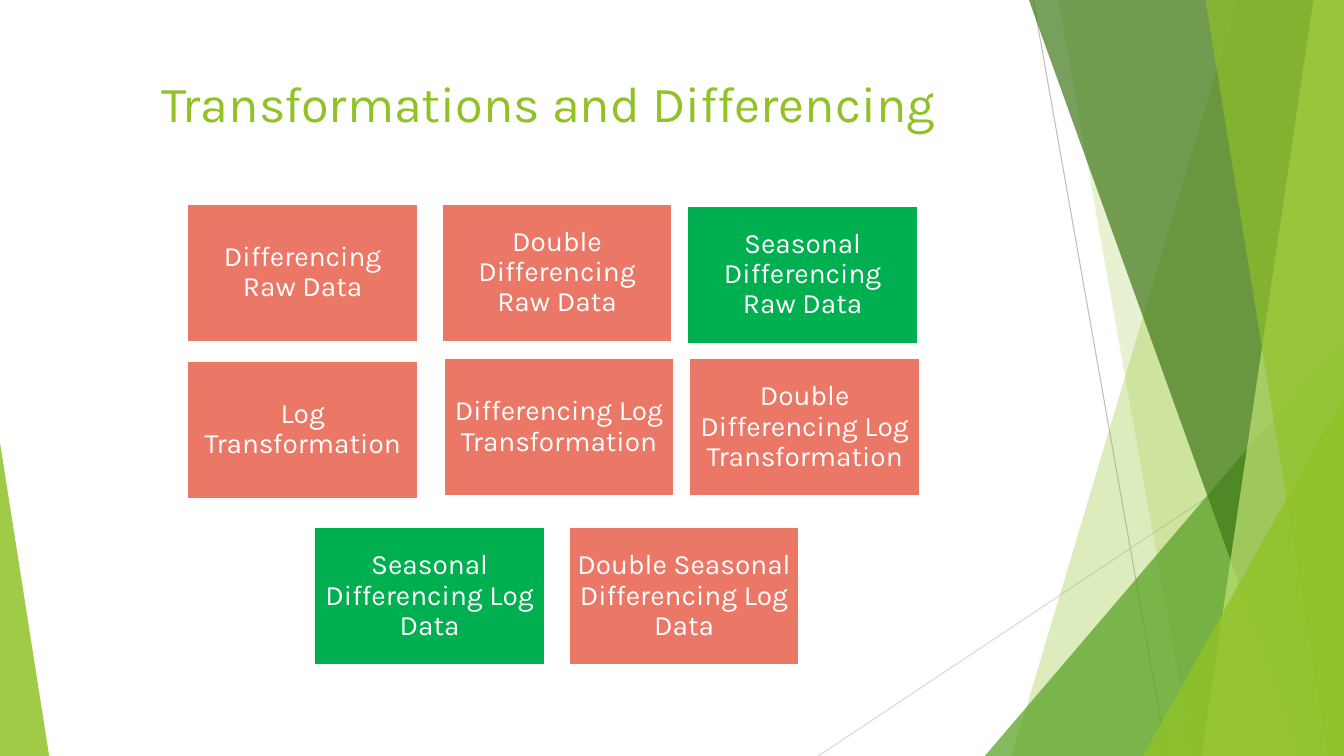
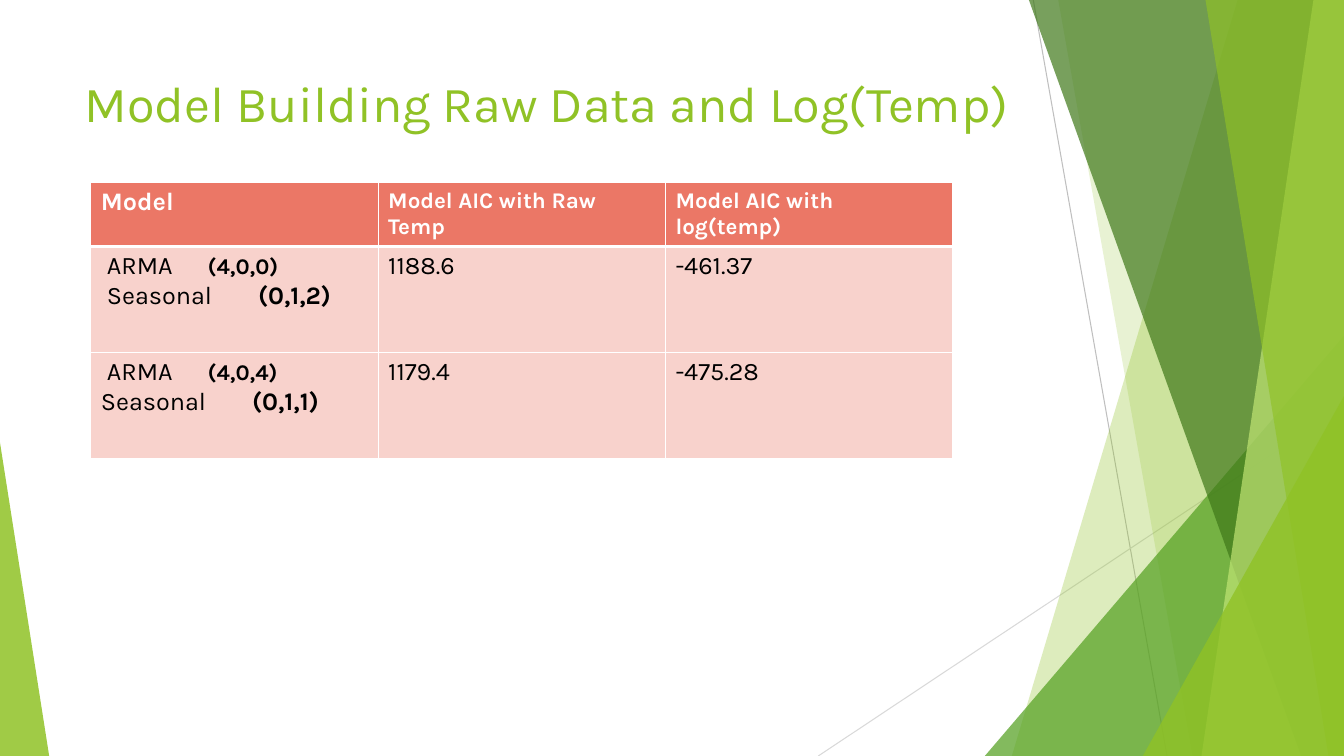
import dataclasses

import pptx
import pptx.dml.color
import pptx.enum.shapes
import pptx.enum.text
import pptx.oxml
import pptx.oxml.ns
import pptx.util

Cm = pptx.util.Cm
Pt = pptx.util.Pt
qn = pptx.oxml.ns.qn
Kind = pptx.enum.shapes.MSO_SHAPE
Align = pptx.enum.text.PP_ALIGN
Anchor = pptx.enum.text.MSO_ANCHOR


@dataclasses.dataclass(frozen=True)
class Theme:
    """Colours, type and page size, in points and centimetres."""
    font: str = "Karla"
    lime: str = "90C226"
    leaf: str = "54A021"
    moss: str = "3F7819"
    pale: str = "C0E474"
    coral: str = "EB7766"
    blush: str = "F8D2CC"
    green: str = "00B050"
    white: str = "FFFFFF"
    black: str = "000000"
    grey: str = "BFBFBF"
    silver: str = "D9D9D9"
    title: int = 36
    card: int = 20
    body: int = 18
    small: int = 16
    width: float = 33.87
    height: float = 19.05


T = Theme()

CARDS = [
    ("Differencing Raw Data", 4.72, 5.13, T.coral),
    ("Double Differencing Raw Data", 11.13, 5.13, T.coral),
    ("Log Transformation", 4.72, 9.09, T.coral),
    ("Differencing Log Transformation", 11.18, 9.02, T.coral),
    ("Double Differencing Log Transformation", 17.37, 9.02, T.coral),
    ("Seasonal Differencing Raw Data", 17.32, 5.18, T.green),
    ("Seasonal Differencing Log Data", 7.92, 13.28, T.green),
    ("Double Seasonal Differencing Log Data", 14.33, 13.28, T.coral),
]

HEADS = [("Model", T.body), ("Model AIC with Raw Temp", T.small),
         ("Model AIC with log(temp)", T.small)]

# ARMA order, seasonal order, indent of the seasonal line, raw AIC, log AIC
MODELS = [("(4,0,0)", "(0,1,2)", 0.15, "1188.6", "-461.37"),
          ("(4,0,4)", "(0,1,1)", 0, "1179.4", "-475.28")]


def rgb(code):
    """Turn a hex code into a colour."""
    return pptx.dml.color.RGBColor.from_string(code)


def add_run(para, text, size, color, bold=False):
    """Add one styled run to a paragraph."""
    run = para.add_run()
    run.text = text
    font = run.font
    font.name, font.size, font.bold = T.font, Pt(size), bold
    font.color.rgb = rgb(color)


def paint(shape, color, alpha=100):
    """Give a shape a flat fill, with no line or shadow."""
    shape.shadow.inherit = False
    shape.line.fill.background()
    shape.fill.solid()
    shape.fill.fore_color.rgb = rgb(color)
    if alpha < 100:
        tint = shape.element.spPr.find(qn("a:solidFill"))[0]
        pptx.oxml.ns  # namespace helper used for the tag below
        tint.makeelement(qn("a:alpha"), {})
        node = tint.makeelement(qn("a:alpha"), {"val": str(alpha * 1000)})
        tint.append(node)


def add_line(slide, start, end, color):
    """Draw a thin straight line."""
    line = slide.shapes.add_connector(
        pptx.enum.shapes.MSO_CONNECTOR.STRAIGHT,
        *[Cm(n) for n in (*start, *end)])
    line.line.color.rgb = rgb(color)
    line.line.width = Pt(0.75)
    props = line.element.spPr
    props.append(props.makeelement(qn("a:effectLst"), {}))


def add_band(slide, top, base, color, alpha):
    """Fill from a slanted left side to the right edge of the page."""
    pen = slide.shapes.build_freeform(Cm(top), 0, scale=1.0)
    pen.add_line_segments([(Cm(T.width), 0), (Cm(T.width), Cm(T.height)),
                           (Cm(base), Cm(T.height))])
    paint(pen.convert_to_shape(), color, alpha)


def add_wedge(slide, left, top, width, peak, color, alpha):
    """Draw a triangle that stands on the bottom of the page."""
    wedge = slide.shapes.add_shape(Kind.ISOSCELES_TRIANGLE, Cm(left), Cm(top),
                                   Cm(width), Cm(T.height - top))
    wedge.adjustments[0] = peak
    paint(wedge, color, alpha)


def add_frame(slide):
    """Draw the facets that all slides share."""
    add_line(slide, (26.04, 0), (29.41, T.height), T.grey)
    add_line(slide, (T.width, 10.24), (20.62, T.height), T.silver)
    add_band(slide, 31.19, 25.5, T.lime, 30)
    add_band(slide, 26.67, 30.05, T.lime, 20)
    add_wedge(slide, 24.82, 8.46, 9.05, 1, T.leaf, 72)
    add_band(slide, 25.93, 32.79, T.moss, 70)
    add_band(slide, 33.1, 30.28, T.pale, 70)
    add_band(slide, 30.38, 33.48, T.lime, 65)
    add_wedge(slide, 28.8, 9.98, 5.07, 1, T.lime, 80)
    add_wedge(slide, 0, 11.15, 1.24, 0, T.lime, 85)


def add_title(slide, text, align):
    """Write the slide title."""
    box = slide.shapes.add_textbox(Cm(1.88), Cm(1.7), Cm(23.88), Cm(3.66))
    box.text_frame.word_wrap = True
    para = box.text_frame.paragraphs[0]
    para.alignment = align
    add_run(para, text, T.title, T.lime)


def add_card(slide, text, left, top, color):
    """Draw a filled box with centred text."""
    card = slide.shapes.add_shape(Kind.RECTANGLE, Cm(left), Cm(top),
                                  Cm(5.82), Cm(3.48))
    paint(card, color)
    card.line.color.rgb = rgb(T.white)
    card.line.width = Pt(1.5)
    frame = card.text_frame
    frame.word_wrap = True
    frame.vertical_anchor = Anchor.MIDDLE
    frame.margin_left = frame.margin_right = Cm(0.2)
    frame.margin_top = frame.margin_bottom = Cm(0.2)
    para = frame.paragraphs[0]
    para.alignment = Align.CENTER
    para.line_spacing = 0.9
    add_run(para, text, T.card, T.white)


def style_cell(cell, fill, top, base):
    """Set the borders, fill and margin of a cell."""
    props = cell._tc.get_or_add_tcPr()
    for side, width in (("L", 1), ("R", 1), ("T", top), ("B", base)):
        edge = props.makeelement(qn("a:ln" + side), {"w": str(Pt(width))})
        solid = edge.makeelement(qn("a:solidFill"), {})
        solid.append(solid.makeelement(qn("a:srgbClr"), {"val": T.white}))
        edge.append(solid)
        props.append(edge)
    cell.fill.solid()
    cell.fill.fore_color.rgb = rgb(fill)
    cell.margin_right = Cm(0.5)


def add_term(para, name, order, size, indent, stop):
    """Write a model part, a tab and its bold order."""
    props = para._p.get_or_add_pPr()
    props.set("marL", str(Cm(indent)))
    props.set("indent", "0")
    tabs = props.makeelement(qn("a:tabLst"), {})
    tabs.append(tabs.makeelement(
        qn("a:tab"), {"pos": str(Cm(stop)), "algn": "l"}))
    props.append(tabs)
    add_run(para, name + "\t", T.body, T.black)
    add_run(para, order, size, T.black, True)


def add_grid(slide):
    """Build the table of models and their AIC."""
    rows = [1.55, 2.67, 2.67]
    grid = slide.shapes.add_table(
        len(rows), len(HEADS), Cm(2.29), Cm(4.6),
        Cm(7.24 * len(HEADS)), Cm(sum(rows))).table
    grid.horz_banding = False
    for col in grid.columns:
        col.width = Cm(7.24)
    for row, high in zip(grid.rows, rows):
        row.height = Cm(high)
    for col, (text, size) in enumerate(HEADS):
        cell = grid.cell(0, col)
        style_cell(cell, T.coral, 1, 3)
        add_run(cell.text_frame.paragraphs[0], text, size, T.white, True)
    for row, (arma, season, indent, *scores) in enumerate(MODELS, 1):
        for col in range(len(HEADS)):
            style_cell(grid.cell(row, col), T.blush, 3 if row == 1 else 1, 1)
        frame = grid.cell(row, 0).text_frame
        add_term(frame.paragraphs[0], "ARMA", arma, T.small, 0.15, 2.65)
        add_term(frame.add_paragraph(), "Seasonal", season, T.body,
                 indent, 2.95)
        for col, score in enumerate(scores, 1):
            para = grid.cell(row, col).text_frame.paragraphs[0]
            add_run(para, score, T.body, T.black)


def add_page(deck, title, align):
    """Start a slide with the shared frame and a title."""
    slide = deck.slides.add_slide(deck.slide_layouts[6])
    add_frame(slide)
    add_title(slide, title, align)
    return slide


def main():
    """Build and save both slides."""
    deck = pptx.Presentation()
    deck.slide_width, deck.slide_height = Cm(T.width), Cm(T.height)
    slide = add_page(deck, "Transformations and Differencing", Align.CENTER)
    for card in CARDS:
        add_card(slide, *card)
    slide = add_page(deck, "Model Building Raw Data and Log(Temp)", Align.LEFT)
    add_grid(slide)
    deck.save("out.pptx")


main()
